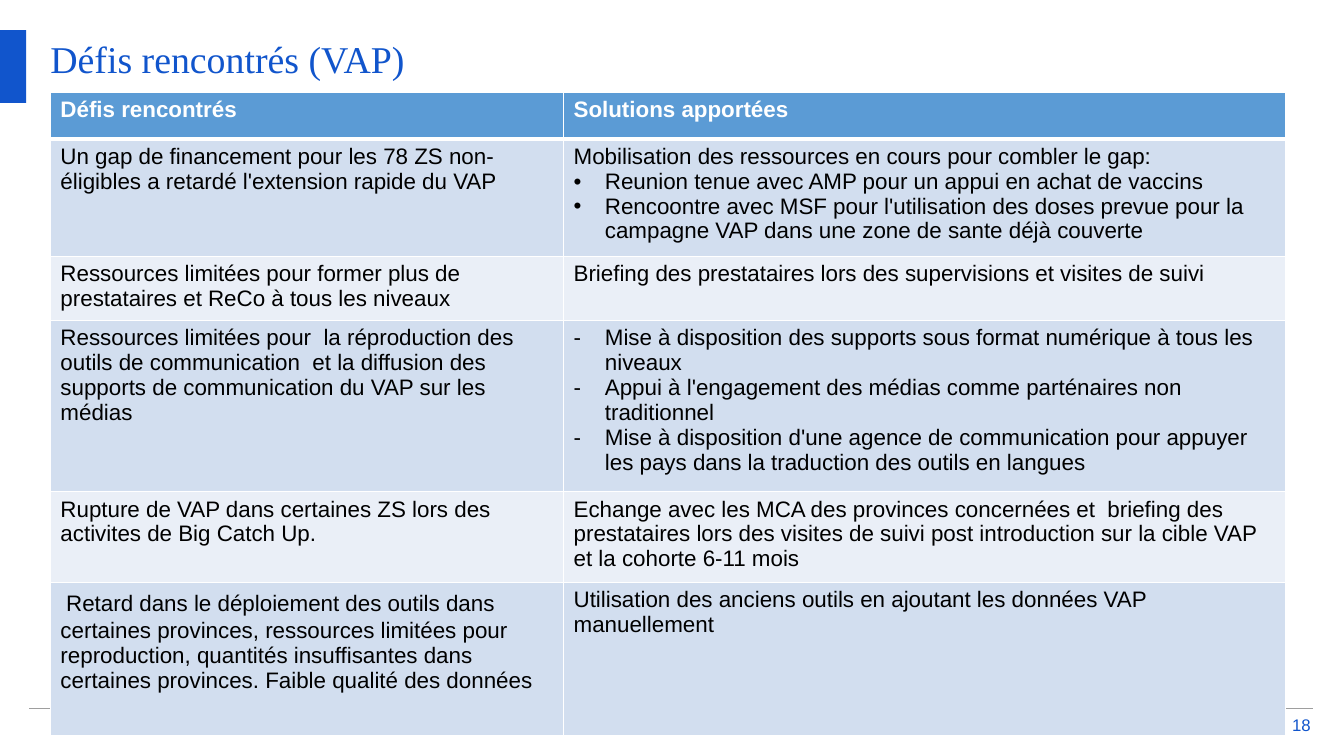
from dataclasses import dataclass

from lxml.etree import SubElement
from pptx import Presentation
from pptx.dml.color import RGBColor
from pptx.enum.shapes import MSO_CONNECTOR, MSO_SHAPE
from pptx.enum.text import MSO_ANCHOR, PP_ALIGN
from pptx.oxml.ns import qn
from pptx.util import Inches, Pt


@dataclass(frozen=True)
class Theme:
    blue: str = "1155CC"
    header: str = "5B9BD5"
    bands: tuple = ("D2DEEF", "EAEFF7")
    white: str = "FFFFFF"
    black: str = "000000"
    rule: str = "9E9E9E"
    title_font: str = "Times New Roman"
    body_font: str = "Arial"
    spacer_font: str = "Calibri"
    title_size: int = 27
    body_size: int = 16
    spacer_size: int = 18
    number_size: int = 12


THEME = Theme()
COLUMN_WIDTHS = (5.09, 7.16)
ROW_HEIGHTS = (0.46, 1.1, 0.6, 1.6, 0.88, 1.52)
BULLET_INDENT = Inches(0.31)

# Each cell is a list of (bullet, text) paragraphs.
ROWS = [
    ([("", "Défis rencontrés")], [("", "Solutions apportées")]),
    (
        [("", "Un gap de financement pour les 78 ZS non-éligibles a retardé l'extension rapide du VAP")],
        [
            ("", "Mobilisation des ressources en cours pour combler le gap:"),
            ("•", "Reunion tenue avec AMP pour un appui en achat de vaccins"),
            ("•", "Rencoontre avec MSF pour l'utilisation des doses prevue pour la "
                  "campagne VAP dans une zone de sante déjà couverte"),
        ],
    ),
    (
        [("", "Ressources limitées pour former plus de prestataires et ReCo à tous les niveaux")],
        [("", "Briefing des prestataires lors des supervisions et visites de suivi")],
    ),
    (
        [("", "Ressources limitées pour  la réproduction des outils de communication  et la "
              "diffusion des supports de communication du VAP sur les médias")],
        [
            ("-", "Mise à disposition des supports sous format numérique à tous les niveaux"),
            ("-", "Appui à l'engagement des médias comme parténaires non traditionnel"),
            ("-", "Mise à disposition d'une agence de communication pour appuyer les pays "
                  "dans la traduction des outils en langues"),
        ],
    ),
    (
        [("", "Rupture de VAP dans certaines ZS lors des activites de Big Catch Up.")],
        [("", "Echange avec les MCA des provinces concernées et  briefing des prestataires lors "
              "des visites de suivi post introduction sur la cible VAP et la cohorte 6-11 mois")],
    ),
    (
        [("", " Retard dans le déploiement des outils dans certaines provinces, ressources "
              "limitées pour reproduction, quantités insuffisantes dans certaines provinces. "
              "Faible qualité des données")],
        [("", "Utilisation des anciens outils en ajoutant les données VAP manuellement")],
    ),
]


def color(value):
    return RGBColor.from_string(value)


def set_all(target, values):
    for name, value in values.items():
        setattr(target, name, value)


def add_span(para, text, font, size, ink, bold=False):
    span = para.add_run()
    span.text = text
    set_all(span.font, {"name": font, "size": Pt(size), "bold": bold})
    span.font.color.rgb = color(ink)


def format_frame(frame, anchor):
    set_all(frame, {
        "margin_left": 0, "margin_right": 0, "margin_top": 0, "margin_bottom": 0,
        "word_wrap": True, "vertical_anchor": anchor,
    })


def add_title(page, text):
    title = page.shapes.title
    set_all(title, {"left": Inches(0.5), "top": Inches(0.35),
                    "width": Inches(12.33), "height": Inches(0.8)})
    format_frame(title.text_frame, MSO_ANCHOR.TOP)
    para = title.text_frame.paragraphs[0]
    para.alignment = PP_ALIGN.LEFT
    add_span(para, text, THEME.title_font, THEME.title_size, THEME.blue)


def add_accent(page):
    accent = page.shapes.add_shape(MSO_SHAPE.RECTANGLE, 0, Inches(0.3), Inches(0.26), Inches(0.72))
    accent.shadow.inherit = False
    accent.fill.solid()
    accent.fill.fore_color.rgb = color(THEME.blue)
    accent.line.fill.background()


def add_page_number(page, text):
    box = page.shapes.add_textbox(Inches(12.75), Inches(7.1), Inches(0.25), Inches(0.18))
    format_frame(box.text_frame, MSO_ANCHOR.MIDDLE)
    para = box.text_frame.paragraphs[0]
    para.alignment = PP_ALIGN.RIGHT
    add_span(para, text, THEME.body_font, THEME.number_size, THEME.blue)


def add_footer_rule(page):
    rule = page.shapes.add_connector(
        MSO_CONNECTOR.STRAIGHT, Inches(0.29), Inches(7.03), Inches(13.02), Inches(7.03))
    rule.line.color.rgb = color(THEME.rule)
    rule.line.width = Pt(1)
    SubElement(rule._element.spPr, qn("a:effectLst"))


def set_bullet(para, bullet):
    properties = para._p.get_or_add_pPr()
    properties.set("marL", str(BULLET_INDENT))
    properties.set("indent", str(-BULLET_INDENT))
    SubElement(properties, qn("a:buFont"), typeface=THEME.body_font)
    SubElement(properties, qn("a:buChar"), char=bullet)


def set_borders(cell, row_index):
    """Draw white borders, thicker between the header and the body."""
    widths = {"lnL": 1, "lnR": 1, "lnT": 3 if row_index == 1 else 1,
              "lnB": 3 if row_index == 0 else 1}
    properties = cell._tc.get_or_add_tcPr()
    for side, width in widths.items():
        border = SubElement(properties, qn(f"a:{side}"), w=str(Pt(width)))
        fill = SubElement(border, qn("a:solidFill"))
        SubElement(fill, qn("a:srgbClr"), val=THEME.white)


def fill_cell(cell, paragraphs, row_index):
    is_header = row_index == 0
    set_borders(cell, row_index)
    cell.fill.solid()
    cell.fill.fore_color.rgb = color(THEME.header if is_header else THEME.bands[(row_index - 1) % 2])
    ink = THEME.white if is_header else THEME.black
    frame = cell.text_frame
    for index, (bullet, text) in enumerate(paragraphs):
        para = frame.paragraphs[0] if index == 0 else frame.add_paragraph()
        if bullet:
            set_bullet(para, bullet)
        if text.startswith(" "):
            add_span(para, " ", THEME.spacer_font, THEME.spacer_size, ink)
        add_span(para, text.lstrip(), THEME.body_font, THEME.body_size, ink, is_header)


def add_challenges_table(page):
    table = page.shapes.add_table(
        len(ROWS), len(COLUMN_WIDTHS), Inches(0.5), Inches(0.92),
        Inches(sum(COLUMN_WIDTHS)), Inches(sum(ROW_HEIGHTS))).table
    for column, width in zip(table.columns, COLUMN_WIDTHS):
        column.width = Inches(width)
    for row_index, (row, height) in enumerate(zip(table.rows, ROW_HEIGHTS)):
        row.height = Inches(height)
        for cell, paragraphs in zip(row.cells, ROWS[row_index]):
            fill_cell(cell, paragraphs, row_index)


def main():
    deck = Presentation()
    set_all(deck, {"slide_width": Inches(13.33), "slide_height": Inches(7.5)})
    page = deck.slides.add_slide(deck.slide_layouts[5])
    add_title(page, "Défis rencontrés (VAP)")
    add_accent(page)
    add_page_number(page, "18")
    add_footer_rule(page)
    add_challenges_table(page)
    deck.save("out.pptx")


if __name__ == "__main__":
    main()
